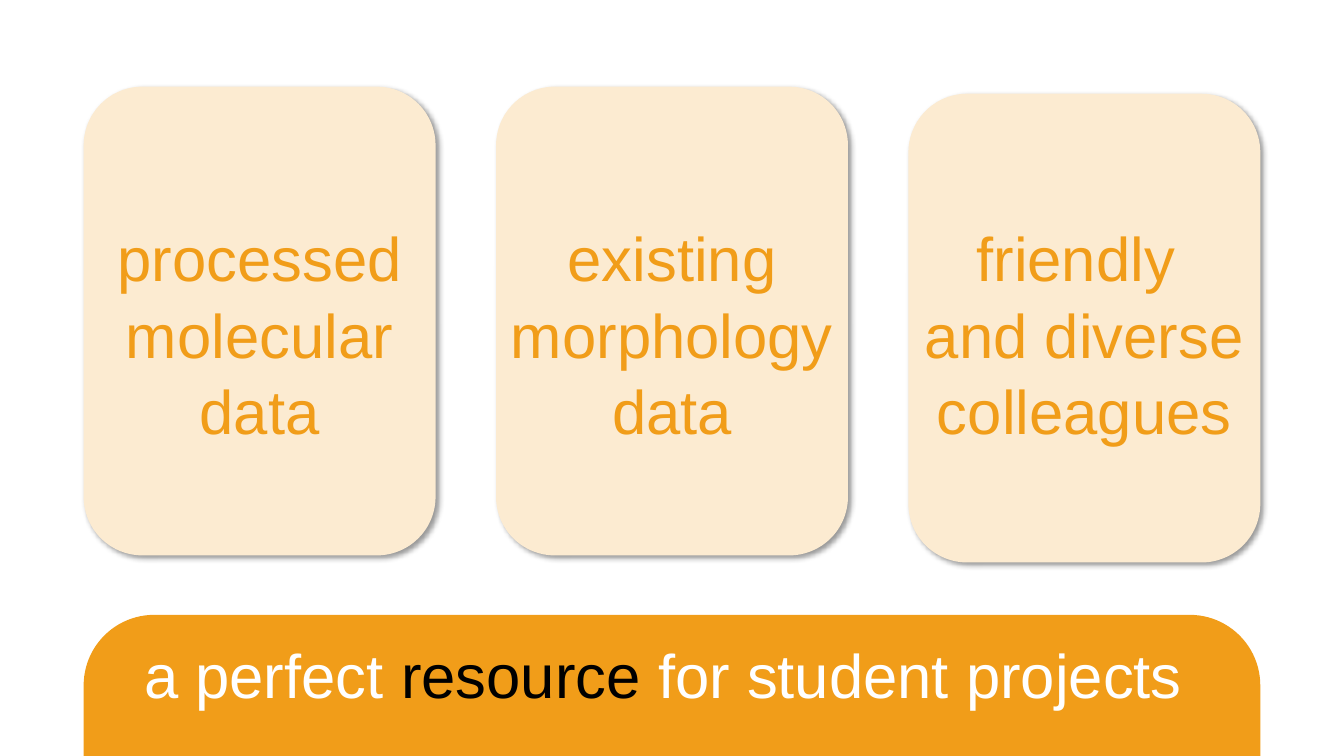
import pptx
import pptx.util
import pptx.dml.color
import pptx.enum.shapes
import pptx.enum.text
import lxml.etree
from pptx.util import Inches, Pt

COLORS = {"orange": "F19D19", "cream": "FCEBD1", "white": "FFFFFF", "black": "000000"}
# wording (\v is a line break), card top in inches
CARDS = [
    ("processed molecular data", 0.86),
    ("existing morphology data", 0.86),
    ("friendly \vand diverse colleagues", 0.93),
]
BANNER = [("a perfect ", "white"), ("resource", "black"), (" for student projects ", "white")]

LEFT, FULL_WIDTH = 0.83, 11.67
CARD_WIDTH, CARD_HEIGHT, CARD_STEP = 3.49, 4.65, 4.09
LABEL_TOP, LABEL_HEIGHT = 2.06, 3.29
SHAPES = pptx.enum.shapes.MSO_SHAPE


def rgb(name):
    return pptx.dml.color.RGBColor.from_string(COLORS[name])


def add_panel(shapes, kind, place, color):
    panel = shapes.add_shape(kind, *map(Inches, place))
    panel.fill.solid()
    panel.fill.fore_color.rgb = rgb(color)
    panel.line.fill.background()
    panel.shadow.inherit = False
    return panel


def add_drop_shadow(panel):
    """Soft shadow to the lower right: blur 4 pt, distance 3 pt, 40% black."""
    ns = "http://schemas.openxmlformats.org/drawingml/2006/main"
    effects = panel._element.spPr.find(f"{{{ns}}}effectLst")
    effects.append(lxml.etree.fromstring(
        f'<a:outerShdw xmlns:a="{ns}" blurRad="{Pt(4)}" dist="{Pt(3)}" dir="2700000" '
        f'algn="tl" rotWithShape="0"><a:srgbClr val="{COLORS["black"]}">'
        '<a:alpha val="40000"/></a:srgbClr></a:outerShdw>'))


def add_label(shapes, place, spans, line_spacing, top_margin):
    box = shapes.add_textbox(*map(Inches, place))
    frame = box.text_frame
    frame.word_wrap = True
    frame.margin_top = Inches(top_margin)
    para = frame.paragraphs[0]
    para.alignment = pptx.enum.text.PP_ALIGN.CENTER
    para.line_spacing = line_spacing
    para.font.size = Pt(44)
    para.font.name = "Arial"
    if len(spans) == 1:
        para.text = spans[0][0]  # keeps the line break
        for span in para.runs:
            style_span(span, spans[0][1])
    else:
        for text, color in spans:
            span = para.add_run()
            span.text = text
            style_span(span, color)


def style_span(span, color):
    span.font.size = Pt(44)
    span.font.name = "Arial"
    span.font.color.rgb = rgb(color)


def main():
    deck = pptx.Presentation()
    deck.slide_width, deck.slide_height = Inches(13.33), Inches(7.5)
    page = deck.slides.add_slide(deck.slide_layouts[6])

    banner = add_panel(page.shapes, SHAPES.ROUND_2_SAME_RECTANGLE,
                       (LEFT, 6.1, FULL_WIDTH, 1.4), "orange")
    banner.adjustments[0] = 0.5
    add_label(page.shapes, (LEFT, 6.59, FULL_WIDTH, 0.91), BANNER, Pt(30), 0.05)

    for index, (text, top) in enumerate(CARDS):
        left = LEFT + index * CARD_STEP
        card = page.shapes.add_group_shape()
        panel = add_panel(card.shapes, SHAPES.ROUNDED_RECTANGLE,
                          (left, top, CARD_WIDTH, CARD_HEIGHT), "cream")
        add_drop_shadow(panel)
        add_label(card.shapes, (left, LABEL_TOP, CARD_WIDTH, LABEL_HEIGHT),
                  [(text, "orange")], 1.04, 0.09)

    deck.save("out.pptx")


if __name__ == "__main__":
    main()
